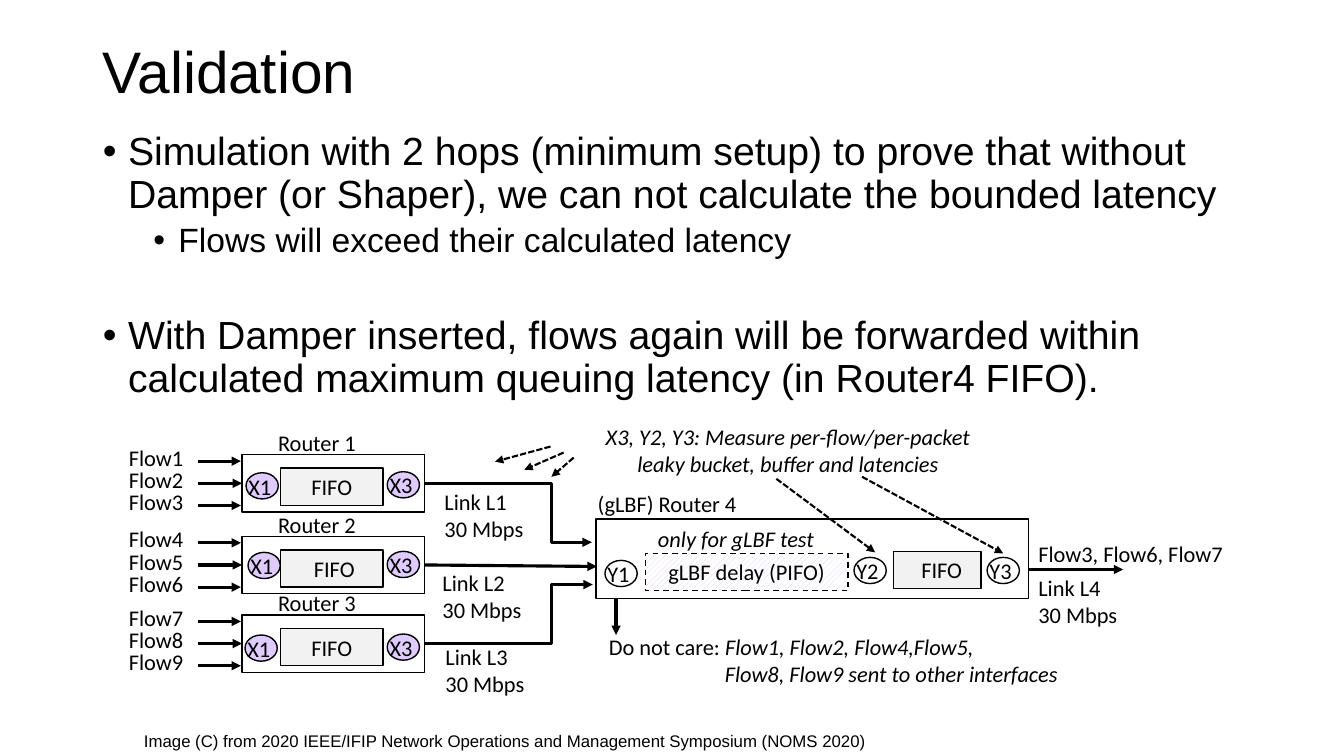
from lxml import etree
from pptx import Presentation
from pptx.dml.color import RGBColor
from pptx.enum.dml import MSO_LINE, MSO_PATTERN
from pptx.enum.shapes import MSO_CONNECTOR, MSO_SHAPE
from pptx.enum.text import MSO_ANCHOR, MSO_AUTO_SIZE, PP_ALIGN
from pptx.oxml.ns import qn
from pptx.util import Inches, Pt

RECT, OVAL = MSO_SHAPE.RECTANGLE, MSO_SHAPE.OVAL
STRAIGHT, ELBOW = MSO_CONNECTOR.STRAIGHT, MSO_CONNECTOR.ELBOW
LEFT, CENTER = PP_ALIGN.LEFT, PP_ALIGN.CENTER
DASH, SYS_DASH = MSO_LINE.DASH, MSO_LINE.SQUARE_DOT
DIAGONAL = MSO_PATTERN.WIDE_UPWARD_DIAGONAL
MIDDLE, NO_FIT = MSO_ANCHOR.MIDDLE, MSO_AUTO_SIZE.NONE

COLORS = {"ink": "000000", "paper": "FFFFFF", "queue": "F2F2F2", "probe": "E0CBFF"}
CELL = 0.1  # side of a grid cell in inches; all positions count columns and rows
SIDE_LEFT, SIDE_RIGHT = 1, 3
LABEL_H, PAIR_H = 3.7, 6.3
ROUTER_X, ROUTER_W, ROUTER_H = 24, 18.1, 5.7
FLOW_STEP = 2.2

# Router top, X1 column, X1 and X3 rows below the top, link label column and row
ROUTERS = [
    (45.1, 24.4, 1.8, 1.7, 43.1, 2.8),
    (53.2, 24.6, 1.6, 1.5, 42.9, 2.8),
    (61, 24.3, 2, 1.9, 43.2, 2.3),
]


def grid(*cells):
    return [Inches(c * CELL) for c in cells]


def rgb(name):
    return RGBColor.from_string(COLORS[name])


def write(p, text, size=16, font="Calibri", italic=False, align=None,
          spacing=None, before=None):
    """Add a formatted run to a paragraph."""
    r = p.add_run()
    r.text = text
    r.font.size, r.font.name, r.font.italic = Pt(size), font, italic
    r.font.color.rgb = rgb("ink")
    if align is not None:
        p.alignment = align
    if spacing is not None:
        p.line_spacing = spacing
    if before is not None:
        p.space_before = Pt(before)


def indent(p, left, first=0):
    pPr = p._p.get_or_add_pPr()
    pPr.set("marL", str(Inches(left)))
    pPr.set("indent", str(Inches(first)))
    return pPr


def bullet(p, text, level=0, size=28, before=10):
    p.level = level
    write(p, text, size, "Arial", spacing=0.9, before=before)
    pPr = indent(p, 0.25 + 0.5 * level, -0.25)
    etree.SubElement(pPr, qn("a:buFont"), typeface="Arial")
    etree.SubElement(pPr, qn("a:buChar"), char="•")


def label(g, x, y, w, *lines, wrap=True, **fmt):
    """Text box with one paragraph per line."""
    tb = g.shapes.add_textbox(*grid(x, y, w, PAIR_H if len(lines) > 1 else LABEL_H))
    tf = tb.text_frame
    tf.word_wrap = wrap
    for i, line in enumerate(lines):
        write(tf.add_paragraph() if i else tf.paragraphs[0], line, **fmt)
    return tf


def box(g, x, y, w, h, kind=RECT, fill=None, text=None, dash=None, shift=0):
    """Outlined shape, with centred text if given."""
    sp = g.shapes.add_shape(kind, *grid(x, y, w, h))
    sp.shadow.inherit = False
    if fill:
        sp.fill.solid()
        sp.fill.fore_color.rgb = rgb(fill)
    else:
        sp.fill.background()
    sp.line.color.rgb, sp.line.width = rgb("ink"), Pt(1)
    if dash:
        sp.line.dash_style = dash
    if text:
        p = sp.text_frame.paragraphs[0]
        write(p, text, align=CENTER)
        indent(p, shift)
    return sp


def arrow(g, x1, y1, x2, y2, width=2.25, kind=STRAIGHT, dash=None, bend=None,
          begin=None, end=None):
    """Arrow; begin and end are routers joined at their right and left sides."""
    cx = g.shapes.add_connector(kind, *grid(x1, y1, x2, y2))
    cx.line.color.rgb, cx.line.width = rgb("ink"), Pt(width)
    if dash:
        cx.line.dash_style = dash
    if begin is not None:
        cx.begin_connect(begin, SIDE_RIGHT)
    if end is not None:
        cx.end_connect(end, SIDE_LEFT)
    spPr = cx._element.spPr
    if bend:
        etree.SubElement(spPr.find(qn("a:prstGeom")).find(qn("a:avLst")),
                         qn("a:gd"), name="adj1", fmla=f"val {bend}")
    etree.SubElement(spPr.find(qn("a:ln")), qn("a:tailEnd"), type="triangle")
    etree.SubElement(spPr, qn("a:effectLst"))


def probe(g, x, y, name, fill=None):
    """Measuring point: an oval with its name."""
    box(g, x, y, 3.2, 2.6, OVAL, fill)
    label(g, x - 0.75, y - 0.5, 5.9, name)


def ingress_router(g, n, top, x1, x1_dy, x3_dy, link_x, link_dy):
    """Router with three incoming flows, a queue and two probes."""
    label(g, 26.6, top - 3, 10.7, f"Router {n}")
    router = box(g, ROUTER_X, top, ROUTER_W, ROUTER_H)
    middle = top + ROUTER_H / 2
    for i in range(3):
        label(g, 11.8, top - 1.55 + i * FLOW_STEP, 8, f"Flow{3 * n - 2 + i}")
        y = middle + (i - 1) * FLOW_STEP
        arrow(g, 19.6, y, 23.9, y, end=router if i == 1 else None)
    box(g, 27.8, top + 1.35, 10.2, LABEL_H, fill="queue", text="FIFO",
        shift=0.05 if n == 2 else 0)
    probe(g, x1, top + x1_dy, "X1", "probe")
    probe(g, 38.4, top + x3_dy, "X3", "probe")
    label(g, link_x, top + link_dy, 10.8, f"Link L{n}", "30 Mbps")
    return router


def egress_router(g):
    """Router 4 with the gLBF stage, its queue and its outputs."""
    label(g, 58.3, 48.1, 17.6, "(gLBF) Router 4")
    box(g, 59.1, 51.5, 42.9, 7.9)
    label(g, 63.2, 51.6, 19.6, "only for gLBF test", italic=True, align=CENTER)
    delay = box(g, 64, 54.9, 20.1, LABEL_H, text="gLBF delay (PIFO)", dash=DASH)
    delay.fill.patterned()
    delay.fill.pattern = DIAGONAL
    delay.fill.fore_color.rgb, delay.fill.back_color.rgb = rgb("probe"), rgb("paper")
    box(g, 88.6, 54.7, 8.7, LABEL_H, fill="queue", text="FIFO", shift=0.09)
    for x, y, name in [(60, 55.6, "Y1"), (84.7, 55.3, "Y2"), (97.9, 55.3, "Y3")]:
        probe(g, x, y, name)

    # Outputs
    arrow(g, 102, 56.5, 111.4, 56.5)
    label(g, 102, 53.1, 22.8, "Flow3, Flow6, Flow7")
    label(g, 102, 56.5, 10.8, "Link L4", "30 Mbps")
    arrow(g, 61.1, 59.4, 61.1, 63)
    tf = label(g, 59.4, 62.3, 52.9, "Do not care: ")
    write(tf.paragraphs[0], "Flow1, Flow2, Flow4,Flow5,", italic=True)
    p = tf.add_paragraph()
    write(p, "Flow8, Flow9 sent to other interfaces", italic=True)
    indent(p, 1.15)


def add_title_and_bullets(s):
    title, body = s.placeholders
    title.left, title.top, title.width, title.height = grid(9.2, 4, 115, 6.8)
    body.left, body.top, body.width, body.height = grid(9.2, 12.6, 115, 28)
    for sp in (title, body):
        sp.text_frame.auto_size = NO_FIT
    title.text_frame.vertical_anchor = MIDDLE
    write(title.text_frame.paragraphs[0], "Validation", 41.8, "Arial",
          align=LEFT, spacing=0.89)
    tf = body.text_frame
    bullet(tf.paragraphs[0], "Simulation with 2 hops (minimum setup) to prove that without "
           "Damper (or Shaper), we can not calculate the bounded latency")
    bullet(tf.add_paragraph(), "Flows will exceed their calculated latency", 1, 24, 5)
    bullet(tf.add_paragraph(), "With Damper inserted, flows again will be forwarded within "
           "calculated maximum queuing latency (in Router4 FIFO).", before=40)


def main():
    prs = Presentation()
    prs.slide_width, prs.slide_height = Inches(13.33), Inches(7.5)
    s = prs.slides.add_slide(prs.slide_layouts[1])
    add_title_and_bullets(s)
    label(s, 13.3, 72, 73.7, "Image (C) from 2020 IEEE/IFIP Network Operations and "
          "Management Symposium (NOMS 2020)", wrap=False, size=12, font="Arial")

    # Network diagram
    g = s.shapes.add_group_shape()
    r1, r2, r3 = [ingress_router(g, n, *row) for n, row in enumerate(ROUTERS, 1)]
    egress_router(g)
    arrow(g, 42.1, 48, 58.7, 53.8, kind=ELBOW, bend=75700, begin=r1)
    arrow(g, 42.1, 56, 59.2, 56.2, begin=r2)
    arrow(g, 42.1, 63.8, 58.8, 58, kind=ELBOW, bend=75700, begin=r3)

    # Measurement note and its pointers
    label(g, 56.2, 41.5, 43.9, "X3, Y2, Y3: Measure per-flow/per-packet",
          "leaky bucket, buffer and latencies", italic=True, align=CENTER)
    for ends in [(54.6, 44.3, 49.1, 45.8), (55.9, 44.9, 52, 46.6), (56.9, 45.4, 54.7, 47.3),
                 (77, 47.5, 86.8, 54.8), (85.5, 47.3, 99.5, 54.9)]:
        arrow(g, *ends, width=1.5, dash=SYS_DASH)

    prs.save("out.pptx")


if __name__ == "__main__":
    main()
